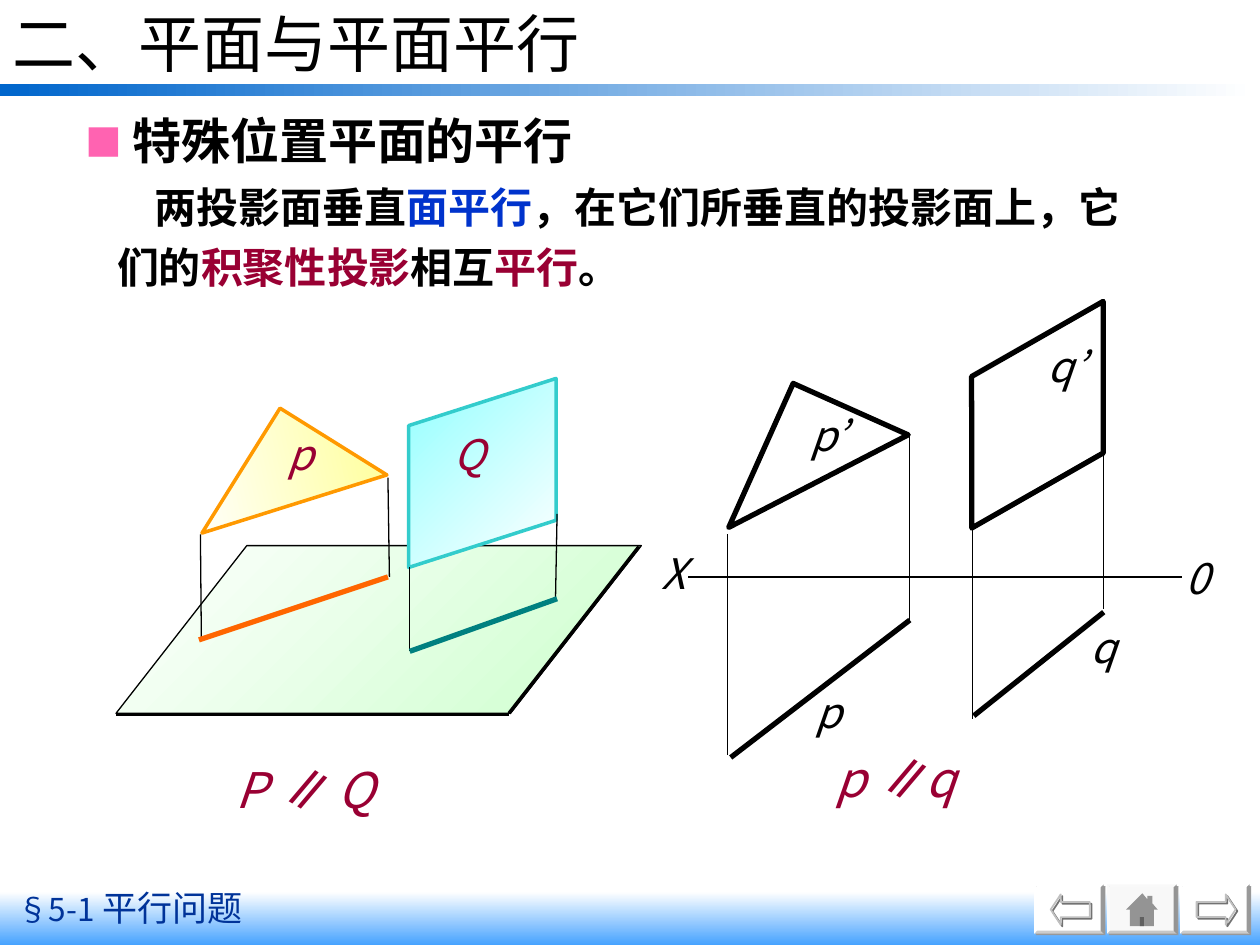
from lxml.etree import SubElement
from pptx import Presentation
from pptx.dml.color import RGBColor
from pptx.enum.shapes import MSO_CONNECTOR, MSO_SHAPE as Preset
from pptx.enum.text import MSO_ANCHOR as Anchor, MSO_AUTO_SIZE as AutoSize, PP_ALIGN as Align
from pptx.oxml.ns import qn
from pptx.util import Cm, Pt

BLACK = RGBColor(0x00, 0x00, 0x00)
WHITE = RGBColor(0xFF, 0xFF, 0xFF)
BAR_BLUE = RGBColor(0x00, 0x66, 0xCC)
FOOTER_BLUE = RGBColor(0x47, 0xA3, 0xFF)
NAVY = RGBColor(0x00, 0x33, 0x99)
BLUE = RGBColor(0x00, 0x33, 0xCC)
CRIMSON = RGBColor(0x99, 0x00, 0x33)
PALE_GREEN = RGBColor(0xCC, 0xFF, 0xCC)
PALE_YELLOW = RGBColor(0xFF, 0xFF, 0x99)
PALE_CYAN = RGBColor(0x93, 0xFF, 0xFF)
AMBER = RGBColor(0xFF, 0x99, 0x00)
ORANGE = RGBColor(0xFF, 0x66, 0x00)
TURQUOISE = RGBColor(0x33, 0xCC, 0xCC)
TEAL = RGBColor(0x00, 0x80, 0x80)
SILVER = RGBColor(0xC0, 0xC0, 0xC0)
BUTTON_GREY = RGBColor(0xF8, 0xF8, 0xF8)
HOUSE_GREY = RGBColor(0x94, 0x94, 0x94)
DOOR_GREY = RGBColor(0x60, 0x60, 0x60)

HAN = "Noto Sans CJK SC"
LETTER = "Noto Sans CJK JP"
HEADING = "Lato"


class Board:
    """Holds the slide and the collection that new elements go into."""

    def __init__(self, slide):
        self.slide = slide
        self.canvas = slide.shapes

    def start_group(self):
        self.canvas = self.slide.shapes.add_group_shape().shapes

    def end_group(self):
        self.canvas = self.slide.shapes

    def run(self, paragraph, words, size, color, font=HAN, bold=False, italic=False):
        run = paragraph.add_run()
        run.text = words
        run.font.size, run.font.bold, run.font.italic = Pt(size), bold, italic
        run.font.color.rgb = color
        run.font.name = font
        east_asian = SubElement(run.font._element, qn("a:ea"))
        east_asian.set("typeface", HAN if font == HEADING else font)

    def text(self, box, wrap=True, anchor=Anchor.TOP):
        """Add a text box and return its first paragraph."""
        frame = self.canvas.add_textbox(*map(Cm, box)).text_frame
        frame.word_wrap = wrap
        frame.auto_size = AutoSize.SHAPE_TO_FIT_TEXT
        frame.vertical_anchor = anchor
        return frame.paragraphs[0]

    def label(self, letter, left, top, width, color=BLACK):
        paragraph = self.text((left, top, width, 1.27), anchor=Anchor.MIDDLE)
        paragraph.alignment = Align.CENTER
        self.run(paragraph, letter, 24, color, LETTER, italic=True)

    def conclusion(self, left, top, first, second):
        paragraph = self.text((left, top, 5.72, 1.68))
        paragraph.line_spacing = 1.2
        for words, font in ((first, LETTER), ("∥", HAN), (second, LETTER)):
            self.run(paragraph, words, 28, CRIMSON, font, bold=font == HAN, italic=True)

    def paint(self, shape, fill=None, angle=0, line=None, width=1):
        """Fill may be None, one colour, or a pair that makes a gradient."""
        shape.shadow.inherit = False
        if fill is None:
            shape.fill.background()
        elif isinstance(fill, RGBColor):
            shape.fill.solid()
            shape.fill.fore_color.rgb = fill
        else:
            shape.fill.gradient()
            shape.fill.gradient_angle = angle
            for stop, color in zip(shape.fill.gradient_stops, fill):
                stop.color.rgb = color
        if line is None:
            shape.line.fill.background()
        else:
            shape.line.color.rgb = line
            shape.line.width = Pt(width)

    def shape(self, preset, box, adjust=(), rotation=0, flip="", **paint):
        shape = self.canvas.add_shape(preset, *map(Cm, box))
        for index, value in enumerate(adjust):
            shape.adjustments[index] = value
        shape.rotation = rotation
        for axis in flip:
            shape._element.spPr.get_or_add_xfrm().set("flip" + axis, "1")
        self.paint(shape, **paint)
        return shape

    def outline(self, points, **paint):
        start, *rest = [(Cm(x), Cm(y)) for x, y in points]
        builder = self.canvas.build_freeform(*start)
        builder.add_line_segments(rest, close=True)
        self.paint(builder.convert_to_shape(), **paint)

    def line(self, x1, y1, x2, y2, color=BLACK, width=0.75):
        line = self.canvas.add_connector(MSO_CONNECTOR.STRAIGHT, *map(Cm, (x1, y1, x2, y2)))
        line.line.color.rgb = color
        line.line.width = Pt(width)
        SubElement(line._element.spPr, qn("a:effectLst"))

    def drop_shadow(self, shape, color):
        effects = shape._element.spPr.find(qn("a:effectLst"))
        shadow = SubElement(effects, qn("a:outerShdw"), dist=str(Pt(1.4)), dir="2700000")
        SubElement(shadow, qn("a:srgbClr"), val=color)

    def button(self, left, top, fill):
        bevel = self.shape(Preset.BEVEL, (left, top, 1.4, 0.99), adjust=(0.06,), fill=fill)
        self.drop_shadow(bevel, "989898")

    def arrow_button(self, left, top, rotation):
        self.start_group()
        self.button(left, top, WHITE)
        arrow = self.shape(Preset.RIGHT_ARROW, (left + 0.33, top + 0.2, 0.79, 0.61),
                           adjust=(0.5, 0.33), rotation=rotation, line=SILVER)
        self.drop_shadow(arrow, "727272")
        self.end_group()

    def home_button(self, left, top):
        self.start_group()
        self.button(left, top, BUTTON_GREY)
        house = [(0.71, 0.18), (0.81, 0.3), (0.81, 0.23), (0.91, 0.23), (0.91, 0.38), (1.02, 0.51),
                 (0.94, 0.51), (0.94, 0.84), (0.46, 0.84), (0.46, 0.51), (0.38, 0.51)]
        self.outline([(left + x, top + y) for x, y in house], fill=HOUSE_GREY)
        self.shape(Preset.RECTANGLE, (left + 0.66, top + 0.66, 0.08, 0.18), fill=DOOR_GREY)
        self.end_group()


def add_frame(board):
    board.shape(Preset.RECTANGLE, (0, 1.7, 25.3, 0.23), flip="V", fill=(WHITE, BAR_BLUE), angle=180)
    board.shape(Preset.RECTANGLE, (0, 17.98, 25.4, 1.07), fill=(WHITE, FOOTER_BLUE), angle=270)
    section = board.text((0.1, 17.75, 11.86, 1.12))
    board.run(section, "§5-1", 18, NAVY)
    board.run(section, " 平行问题", 20, NAVY)


def add_wording(board):
    title = board.slide.shapes.title
    title.left, title.top, title.width, title.height = map(Cm, (0, 0, 21.59, 1.7))
    title.text_frame.vertical_anchor = Anchor.MIDDLE
    title.text_frame.auto_size = AutoSize.NONE
    heading = title.text_frame.paragraphs[0]
    heading.alignment = Align.LEFT
    board.run(heading, "二、平面与平面平行", 36, BLACK, HEADING)

    topic = board.text((1.47, 2.11, 20.12, 1.9))
    properties = topic._p.get_or_add_pPr()
    properties.set("marL", str(Cm(0.95)))
    properties.set("indent", str(Cm(-0.95)))
    SubElement(SubElement(properties, qn("a:buClr")), qn("a:srgbClr"), val="FF63B1")
    SubElement(properties, qn("a:buSzPct"), val="75000")
    SubElement(properties, qn("a:buFont"), typeface=HAN)
    SubElement(properties, qn("a:buChar"), char="■")
    board.run(topic, "特殊位置平面的平行", 28, BLACK, bold=True)

    theorem = board.text((2.11, 3.33, 21.16, 2.69))
    theorem.line_spacing = 1.2
    theorem._p.get_or_add_pPr().set("indent", str(Cm(0.76)))
    for words, color in (("两投影面垂直", BLACK), ("面平行", BLUE),
                         ("，在它们所垂直的投影面上，它们的", BLACK), ("积聚性投影", CRIMSON),
                         ("相互", BLACK), ("平行", CRIMSON), ("。", BLACK)):
        board.run(theorem, words, 24, color, bold=True)


def add_spatial_view(board):
    board.shape(Preset.PARALLELOGRAM, (2.34, 11, 10.59, 3.38), adjust=(0.78,),
                fill=(PALE_GREEN, WHITE), angle=135, line=BLACK, width=0.75)
    board.shape(Preset.RIGHT_TRIANGLE, (4.45, 8.89, 2.97, 2.54), rotation=122,
                fill=(WHITE, PALE_YELLOW), angle=135, line=AMBER, width=2)
    board.line(4.04, 10.77, 4.06, 12.88)
    board.line(7.82, 9.63, 7.85, 11.63)
    board.line(4.01, 12.9, 7.82, 11.63, ORANGE, 3)
    board.shape(Preset.PARALLELOGRAM, (7.82, 8.05, 3.81, 2.97), adjust=(0.32,), rotation=270,
                flip="H", fill=(WHITE, PALE_CYAN), angle=135, line=TURQUOISE, width=2)
    board.line(8.26, 11.43, 8.26, 13.13)
    board.line(11.23, 10.36, 11.2, 12.04)
    board.line(8.26, 13.13, 11.23, 12.07, TEAL, 3)
    board.label("p", 5.11, 8.51, 1.9, CRIMSON)
    board.label("Q", 8.51, 8.51, 1.9, CRIMSON)
    board.line(2.34, 14.4, 10.26, 14.4, width=2)
    board.line(12.88, 11.02, 10.26, 14.38, width=2)


def add_projections(board):
    board.start_group()
    board.line(13.87, 11.63, 23.83, 11.63)
    for x, top, bottom in ((14.66, 10.77, 15.21), (18.34, 8.79, 12.5),
                           (19.61, 10.16, 14.5), (22.25, 8.92, 12.27)):
        board.line(x, top, x, bottom)
    board.line(18.34, 12.5, 14.73, 15.27, width=3)
    board.line(22.25, 12.34, 19.63, 14.43, width=3)
    board.shape(Preset.RIGHT_TRIANGLE, (14.91, 8.43, 3.18, 2.54), rotation=294.1, flip="HV",
                line=BLACK, width=3)
    board.shape(Preset.DIAMOND, (19.38, 5.72, 3.07, 5.28), rotation=210.1, flip="H",
                line=BLACK, width=3)
    board.label("X", 12.47, 10.92, 2.21)
    for letter, left, top in (("q", 21.21, 12.4), ("q’", 20.47, 6.73),
                              ("p’", 15.67, 8.13), ("p", 15.67, 13.72)):
        board.label(letter, left, top, 2.06)
    board.end_group()
    origin = board.text((23.65, 11.02, 0.97, 1.27), wrap=False)
    board.run(origin, "0", 24, BLACK, LETTER, italic=True)


def main():
    deck = Presentation()
    deck.slide_width, deck.slide_height = Cm(25.4), Cm(19.05)
    board = Board(deck.slides.add_slide(deck.slide_layouts[5]))
    add_frame(board)
    add_wording(board)
    add_spatial_view(board)
    add_projections(board)
    board.conclusion(4.5, 14.94, "P ", " Q")
    board.conclusion(16.59, 14.73, "p ", "q")
    first, step, top = 20.85, 1.47, 17.83
    board.arrow_button(first, top, 180)
    board.home_button(first + step, top)
    board.arrow_button(first + 2 * step, top, 0)
    deck.save("out.pptx")


if __name__ == "__main__":
    main()
